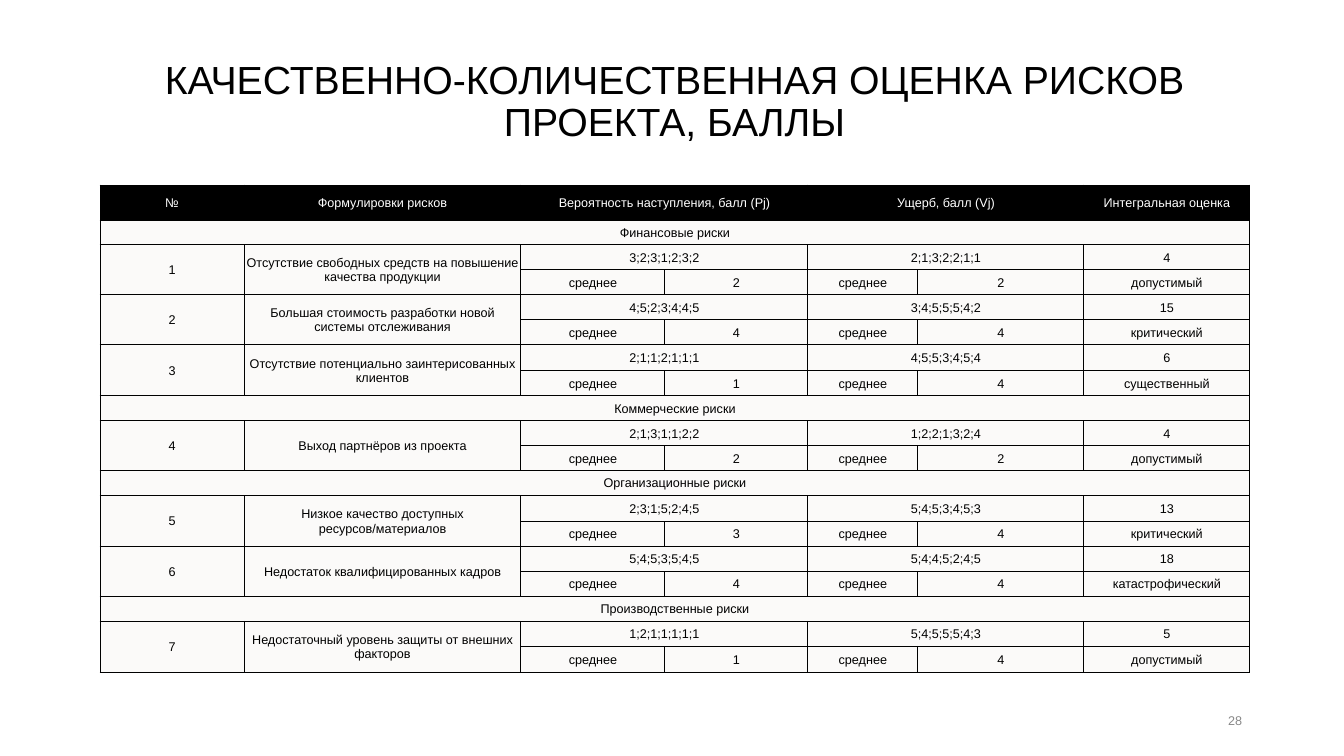
from lxml import etree
from pptx import Presentation
from pptx import util as u
from pptx.dml import color
from pptx.enum import text
from pptx.oxml import ns

COLORS = {"ink": "000000", "paper": "FFFFFF", "cell": "FBFAF9", "number": "888888"}
HEADERS = {
    0: "№",
    1: "Формулировки рисков",
    2: "Вероятность наступления, балл (Pj)",
    4: "Ущерб, балл (Vj)",
    6: "Интегральная оценка",
}
RISK_GROUPS = {
    "Финансовые риски": [
        ("Отсутствие свободных средств на повышение качества продукции",
         "3;2;3;1;2;3;2", "2", "2;1;3;2;2;1;1", "2", "4", "допустимый"),
        ("Большая стоимость разработки новой системы отслеживания",
         "4;5;2;3;4;4;5", "4", "3;4;5;5;5;4;2", "4", "15", "критический"),
        ("Отсутствие потенциально заинтерисованных клиентов",
         "2;1;1;2;1;1;1", "1", "4;5;5;3;4;5;4", "4", "6", "существенный"),
    ],
    "Коммерческие риски": [
        ("Выход партнёров из проекта",
         "2;1;3;1;1;2;2", "2", "1;2;2;1;3;2;4", "2", "4", "допустимый"),
    ],
    "Организационные риски": [
        ("Низкое качество доступных ресурсов/материалов",
         "2;3;1;5;2;4;5", "3", "5;4;5;3;4;5;3", "4", "13", "критический"),
        ("Недостаток квалифицированных кадров",
         "5;4;5;3;5;4;5", "4", "5;4;4;5;2;4;5", "4", "18", "катастрофический"),
    ],
    "Производственные риски": [
        ("Недостаточный уровень защиты от внешних факторов",
         "1;2;1;1;1;1;1", "1", "5;4;5;5;5;4;3", "4", "5", "допустимый"),
    ],
}
COLUMN_WIDTHS = [144, 277, 144, 143, 110, 166, 166]
HEADER_HEIGHT = 35
BODY_HEIGHT = 453


def px(length):
    return u.Emu(round(length * 914400 / 100.8))


def rgb(name):
    return color.RGBColor.from_string(COLORS[name])


class RiskSlide:
    font = "Arial"

    def __init__(self, presentation):
        self.slide = presentation.slides.add_slide(presentation.slide_layouts[6])

    def paragraph(self, paragraph, words, size, ink, align):
        paragraph.text = words
        paragraph.alignment = align
        paragraph.font.name = self.font
        paragraph.font.size = u.Pt(size)
        paragraph.font.color.rgb = rgb(ink)

    def text(self, box, words, size, ink, align, spacing=1.0):
        frame = self.slide.shapes.add_textbox(*map(px, box)).text_frame
        frame.word_wrap = True
        frame.vertical_anchor = text.MSO_ANCHOR.MIDDLE
        self.paragraph(frame.paragraphs[0], words, size, ink, align)
        frame.paragraphs[0].line_spacing = spacing

    def table(self, left, top, widths, heights):
        box = map(px, (left, top, sum(widths), sum(heights)))
        table = self.slide.shapes.add_table(len(heights), len(widths), *box).table
        table.first_row = table.horz_banding = False
        for column, width in zip(table.columns, widths):
            column.width = px(width)
        for row, height in zip(table.rows, heights):
            row.height = px(height)
        for cell in table.iter_cells():
            self.border(cell)
            self.fill(cell, "cell")
        return table

    def border(self, cell):
        properties = cell._tc.get_or_add_tcPr()
        for side in ("lnL", "lnR", "lnT", "lnB"):
            line = etree.SubElement(properties, ns.qn(f"a:{side}"), w=str(u.Pt(0.75)))
            solid = etree.SubElement(line, ns.qn("a:solidFill"))
            etree.SubElement(solid, ns.qn("a:srgbClr"), val=COLORS["ink"])

    def fill(self, cell, name):
        cell.fill.solid()
        cell.fill.fore_color.rgb = rgb(name)

    def cell(self, table, row, column, words, rows=1, columns=1, ink="ink"):
        cell = table.cell(row, column)
        if rows * columns > 1:
            cell.merge(table.cell(row + rows - 1, column + columns - 1))
        cell.margin_left = cell.margin_right = cell.margin_top = px(1)
        cell.margin_bottom = 0
        cell.vertical_anchor = text.MSO_ANCHOR.MIDDLE
        self.paragraph(cell.text_frame.paragraphs[0], words, 9, ink, text.PP_ALIGN.CENTER)

    def header(self, table):
        for column in range(len(table.columns)):
            self.fill(table.cell(0, column), "ink")
        for column, words in HEADERS.items():
            span = 2 if column in (2, 4) else 1
            self.cell(table, 0, column, words, columns=span, ink="paper")

    def risk(self, table, row, number, risk):
        name, chances, chance, losses, loss, score, level = risk
        self.cell(table, row, 0, str(number), rows=2)
        self.cell(table, row, 1, name, rows=2)
        for column, marks, mean in ((2, chances, chance), (4, losses, loss)):
            self.cell(table, row, column, marks, columns=2)
            self.cell(table, row + 1, column, "среднее")
            self.cell(table, row + 1, column + 1, mean)
        self.cell(table, row, 6, score)
        self.cell(table, row + 1, 6, level)


def main():
    presentation = Presentation()
    presentation.slide_width, presentation.slide_height = px(1344), px(756)
    page = RiskSlide(presentation)
    page.text((80, 30, 1189, 146), "КАЧЕСТВЕННО-КОЛИЧЕСТВЕННАЯ ОЦЕНКА РИСКОВ ПРОЕКТА, БАЛЛЫ",
              28, "ink", text.PP_ALIGN.CENTER, 0.9)
    page.text((950, 701, 302, 40), "28", 9, "number", text.PP_ALIGN.RIGHT)

    count = sum(1 + 2 * len(risks) for risks in RISK_GROUPS.values())
    edges = [BODY_HEIGHT * index // count for index in range(count + 1)]
    heights = [HEADER_HEIGHT] + [bottom - top for top, bottom in zip(edges, edges[1:])]
    table = page.table(100, 185, COLUMN_WIDTHS, heights)
    page.header(table)
    row, number = 1, 1
    for group, risks in RISK_GROUPS.items():
        page.cell(table, row, 0, group, columns=len(COLUMN_WIDTHS))
        row += 1
        for risk in risks:
            page.risk(table, row, number, risk)
            row, number = row + 2, number + 1
    presentation.save("out.pptx")


if __name__ == "__main__":
    main()
